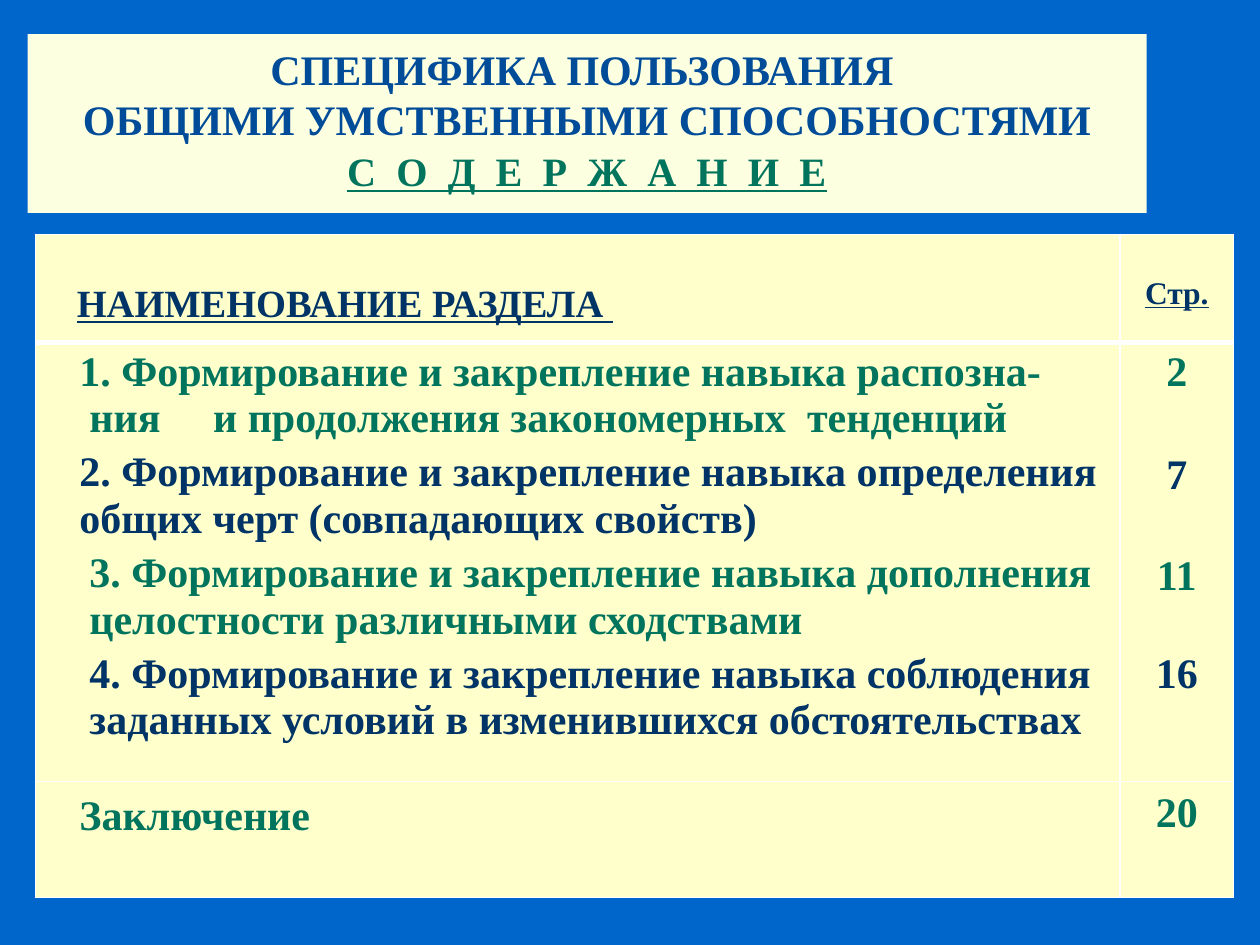
"""Build the contents slide of a training course on general mental abilities."""
from lxml.etree import SubElement
from pptx import Presentation
from pptx.dml.color import RGBColor as Rgb
from pptx.enum.text import MSO_ANCHOR as Anchor, PP_ALIGN as Align
from pptx.oxml.ns import qn
from pptx.util import Inches, Pt

COLORS = {"background": "0066CC", "title_fill": "FDFFE1", "cell": "FFFFCC", "border": "FFFFFF",
          "blue": "004C99", "navy": "003366", "green": "00745C"}
FONT = "Times New Roman"

TITLE_LINES = [
    ("СПЕЦИФИКА ПОЛЬЗОВАНИЯ ", {"color": "blue"}),
    ("ОБЩИМИ УМСТВЕННЫМИ СПОСОБНОСТЯМИ", {"color": "blue"}),
    ("С О Д Е Р Ж А Н И Е", {"size": 23, "color": "green", "underline": True, "spacing": 2.9}),
]
HEADERS = ([("НАИМЕНОВАНИЕ РАЗДЕЛА", 0), (" ", 22)], "Стр.")
SECTIONS = [
    ("green", "2", 0, [("1. Формирование и закрепление навыка распозна-", 0),
                       ([("ния", 0), (" ", 24), ("и продолжения закономерных", 0),
                         (" ", 6), ("тенденций", 0)], 0.08)]),
    ("navy", "7", 32.3, [("2. Формирование и закрепление навыка определения", 0),
                         ("общих черт (совпадающих свойств)", 0)]),
    ("green", "11", 31.1, [("3. Формирование и закрепление навыка дополнения", 0.08),
                           ("целостности различными сходствами", 0.08)]),
    ("navy", "16", 29.4, [("4. Формирование и закрепление навыка соблюдения", 0.08),
                          ("заданных условий в изменившихся обстоятельствах", 0.08)]),
]
CLOSING = ("Заключение", "20")
COLUMN_WIDTHS = [8.61, 0.9]
ROW_HEIGHTS = [0.86, 3.23, 0.92]
CELL_MARGINS = [[(0.33, 0.39), (0.1, 0.33)], [(0.35, 0.05), (0.1, 0.05)], [(0.35, 0.09), (0.1, 0.07)]]
SECTION_GAP = 4.43


def add_line(frame, text, size=24, color="navy", underline=False, spacing=0,
             align=Align.LEFT, indent=0, before=0, pitch=None):
    """Add one paragraph made of a string or of (string, letter spacing) pieces."""
    first = frame.paragraphs[0]
    paragraph = frame.add_paragraph() if first.runs else first
    paragraph.alignment = align
    paragraph.space_before = Pt(before)
    if pitch:
        paragraph.line_spacing = Pt(pitch)
    if indent:
        paragraph._p.get_or_add_pPr().set("marL", str(Inches(indent)))
    for piece, gap in [(text, spacing)] if isinstance(text, str) else text:
        run = paragraph.add_run()
        run.text = piece
        font = run.font
        font.name, font.size, font.bold, font.underline = FONT, Pt(size), True, underline
        font.color.rgb = Rgb.from_string(COLORS[color])
        if gap:
            font._element.set("spc", str(round(gap * 100)))


def style_cell(cell, margins, top_width, bottom_width):
    """Set the margins, white borders and fill of a cell."""
    cell.margin_left, cell.margin_top = (Inches(margin) for margin in margins)
    properties = cell._tc.get_or_add_tcPr()
    widths = {"a:lnL": 1, "a:lnR": 1, "a:lnT": top_width, "a:lnB": bottom_width}
    for tag, width in widths.items():
        line = SubElement(properties, qn(tag), w=str(Pt(width)))
        fill = SubElement(line, qn("a:solidFill"))
        SubElement(fill, qn("a:srgbClr"), val=COLORS["border"])
    cell.fill.solid()
    cell.fill.fore_color.rgb = Rgb.from_string(COLORS["cell"])


def add_title(slide):
    """Add the title panel."""
    title = slide.shapes.add_textbox(Inches(0.22), Inches(0.27), Inches(8.88), Inches(1.42))
    title.fill.solid()
    title.fill.fore_color.rgb = Rgb.from_string(COLORS["title_fill"])
    frame = title.text_frame
    frame.word_wrap = True
    frame.vertical_anchor = Anchor.TOP
    frame.margin_top = Inches(0.08)
    for text, style in TITLE_LINES:
        add_line(frame, text, align=Align.CENTER, pitch=28.6, **style)


def add_contents(slide):
    """Add the table of sections and page numbers."""
    table = slide.shapes.add_table(len(ROW_HEIGHTS), len(COLUMN_WIDTHS), Inches(0.28), Inches(1.86),
                                   Inches(sum(COLUMN_WIDTHS)), Inches(sum(ROW_HEIGHTS))).table
    for column, width in zip(table.columns, COLUMN_WIDTHS):
        column.width = Inches(width)
    for index, height in enumerate(ROW_HEIGHTS):
        table.rows[index].height = Inches(height)
        for cell, margins in zip(table.rows[index].cells, CELL_MARGINS[index]):
            style_cell(cell, margins, 3 if index == 1 else 1, 3 if index == 0 else 1)

    (name_head, page_head), (names, pages), (name_end, page_end) = (
        [cell.text_frame for cell in row.cells] for row in table.rows)
    add_line(name_head, HEADERS[0], size=22, underline=True)
    add_line(page_head, HEADERS[1], size=18, underline=True, align=Align.CENTER)
    for number, (color, page, page_gap, lines) in enumerate(SECTIONS):
        for position, (text, indent) in enumerate(lines):
            gap = SECTION_GAP if number and not position else 0
            add_line(names, text, color=color, indent=indent, before=gap)
        add_line(pages, page, color=color, align=Align.CENTER, before=page_gap)
    add_line(name_end, CLOSING[0], color="green")
    add_line(page_end, CLOSING[1], color="green", align=Align.CENTER)


def main():
    """Create and save the presentation."""
    presentation = Presentation()
    presentation.slide_width, presentation.slide_height = Inches(10), Inches(7.5)
    slide = presentation.slides.add_slide(presentation.slide_layouts[6])
    slide.background.fill.solid()
    slide.background.fill.fore_color.rgb = Rgb.from_string(COLORS["background"])
    add_title(slide)
    add_contents(slide)
    presentation.save("out.pptx")


if __name__ == "__main__":
    main()
